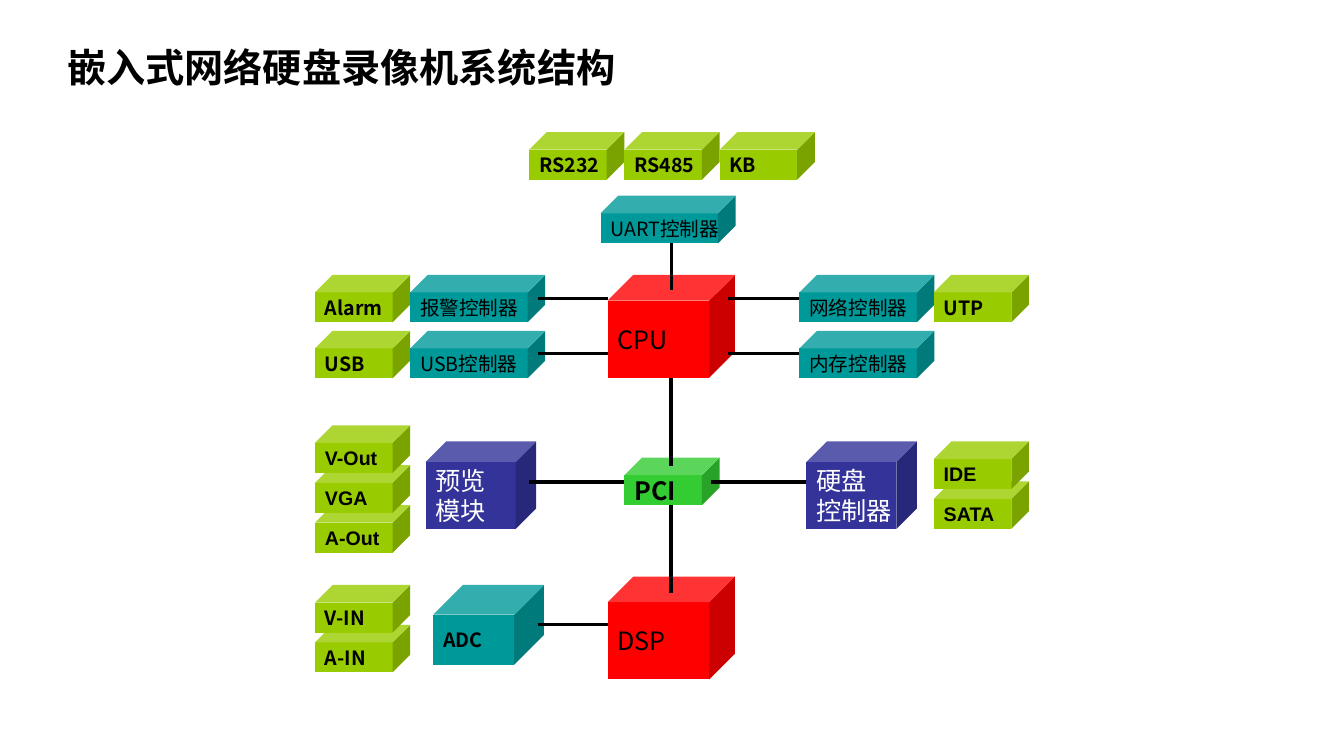
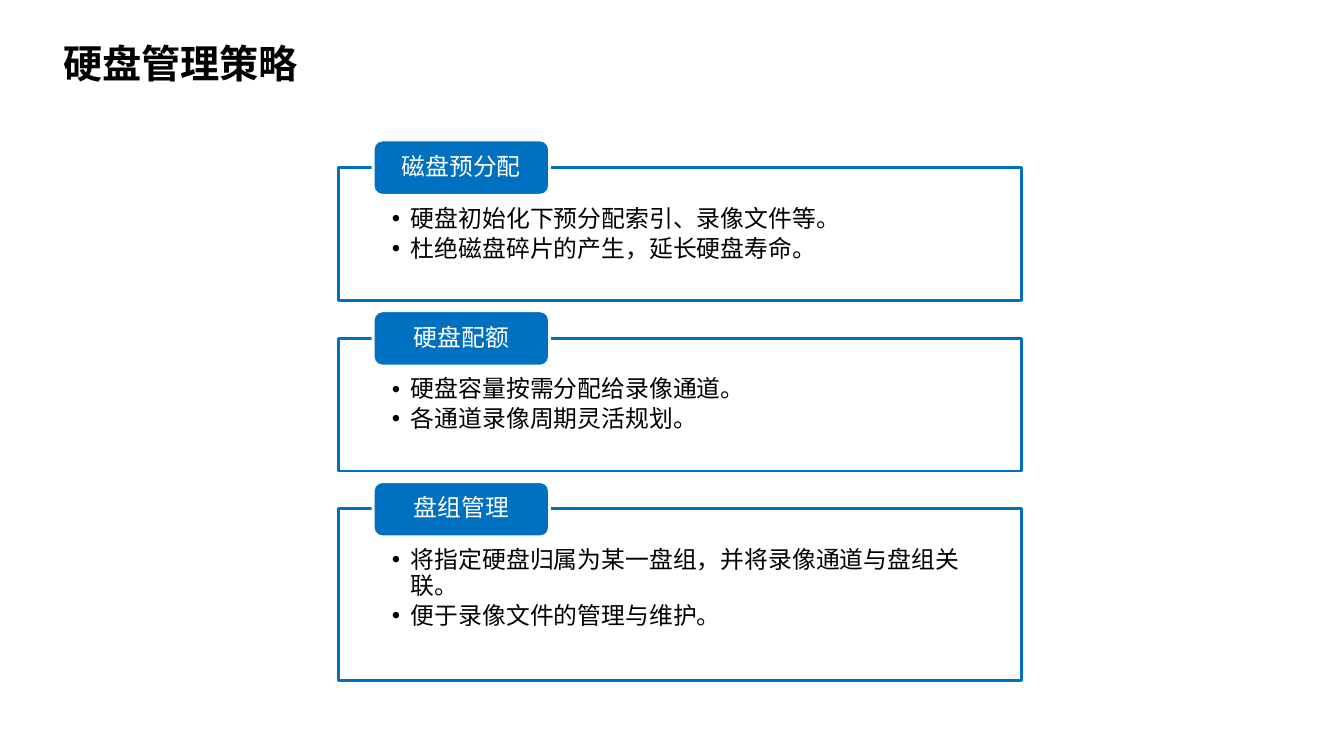
from dataclasses import dataclass

from lxml.etree import SubElement
from pptx import Presentation
from pptx.dml.color import RGBColor
from pptx.enum.shapes import MSO_CONNECTOR, MSO_SHAPE
from pptx.enum.text import MSO_ANCHOR, PP_ALIGN
from pptx.oxml.ns import qn
from pptx.util import Pt


@dataclass(frozen=True)
class Theme:
    black: str = "000000"
    white: str = "FFFFFF"
    lime: str = "99CC00"
    teal: str = "009999"
    red: str = "FF0000"
    green: str = "33CC33"
    indigo: str = "333399"
    blue: str = "0070C0"
    latin: str = "Arial"
    cjk: str = "Noto Sans CJK SC"
    title_size: float = 28
    chip_size: float = 18
    port_size: float = 14
    policy_size: float = 17
    bus_weight: float = 3
    link_weight: float = 2.25
    frame_weight: float = 2


THEME = Theme()


@dataclass(frozen=True)
class Block:
    fill: str
    width: float
    height: float
    depth: float = 0.371
    size: float = THEME.port_size
    font: str = THEME.cjk
    color: str = THEME.black
    bold: bool = False


PORT = Block(THEME.lime, 68, 34, bold=True)
MEDIA_PORT = Block(THEME.lime, 68, 34, font=THEME.latin, bold=True)
CONTROLLER = Block(THEME.teal, 96.5, 34)
CONVERTER = Block(THEME.teal, 79, 57, bold=True)
PROCESSOR = Block(THEME.red, 91, 73.5, 0.25, THEME.chip_size)
BRIDGE = Block(THEME.green, 68, 34, size=THEME.chip_size, bold=True)
MODULE = Block(THEME.indigo, 79, 62.5, 0.235, THEME.chip_size, color=THEME.white)


def rgb(value):
    return RGBColor.from_string(value)


def write(frame, lines, size, color, font=THEME.latin, bold=False,
          align=PP_ALIGN.LEFT, spacing=None, after=None, bullet_indent=None):
    for index, line in enumerate(lines):
        paragraph = frame.paragraphs[0] if index == 0 else frame.add_paragraph()
        paragraph.text = line
        paragraph.alignment = align
        if spacing:
            paragraph.line_spacing = spacing
        if after:
            paragraph.space_after = Pt(after)
        properties = paragraph._p.get_or_add_pPr()
        if bullet_indent:
            properties.set("marL", str(Pt(bullet_indent)))
            properties.set("indent", str(-Pt(bullet_indent)))
            SubElement(properties, qn("a:buFont")).set("typeface", THEME.latin)
            SubElement(properties, qn("a:buChar")).set("char", "•")
        paragraph.font.name = font
        paragraph.font.size = Pt(size)
        paragraph.font.bold = bold
        paragraph.font.color.rgb = rgb(color)
        east_asian = SubElement(properties.find(qn("a:defRPr")), qn("a:ea"))
        east_asian.set("typeface", THEME.cjk)


def set_insets(frame, left, top, right, bottom):
    frame.margin_left, frame.margin_top = Pt(left), Pt(top)
    frame.margin_right, frame.margin_bottom = Pt(right), Pt(bottom)


def add_filled(slide, preset, box, fill, outline=None):
    shape = slide.shapes.add_shape(preset, *map(Pt, box))
    shape.shadow.inherit = False
    shape.fill.solid()
    shape.fill.fore_color.rgb = rgb(fill)
    if outline:
        shape.line.color.rgb = rgb(outline)
        shape.line.width = Pt(THEME.frame_weight)
    else:
        shape.line.fill.background()
    return shape


def add_title(slide, left, top, text):
    frame = slide.shapes.add_textbox(Pt(left), Pt(top), Pt(718), Pt(40)).text_frame
    frame.word_wrap = True
    frame.vertical_anchor = MSO_ANCHOR.MIDDLE
    write(frame, [text], THEME.title_size, THEME.black, bold=True)


def add_block(slide, block, left, top, *lines):
    cube = add_filled(slide, MSO_SHAPE.CUBE,
                      (left, top, block.width, block.height), block.fill)
    cube.adjustments[0] = block.depth
    frame = cube.text_frame
    frame.word_wrap = False
    frame.vertical_anchor = MSO_ANCHOR.MIDDLE
    write(frame, lines, block.size, block.color, block.font, block.bold)


def add_stack(slide, block, left, top, names):
    for index, name in reversed(list(enumerate(names))):
        add_block(slide, block, left, top + index * 28.5, name)


def add_link(slide, start, end, weight):
    link = slide.shapes.add_connector(MSO_CONNECTOR.STRAIGHT, *map(Pt, start + end))
    link.line.color.rgb = rgb(THEME.black)
    link.line.width = Pt(weight)
    SubElement(link._element.spPr, qn("a:effectLst"))


def add_architecture(slide, left, top):
    alarm_row, usb_row, module_row, input_row = 102, 142, 221, 323.5
    near_controller, far_controller, far_port = 68, 346, 442

    for block, x, y, *lines in (
        (CONTROLLER, 204, 45.5, "UART控制器"),
        (PORT, 0, alarm_row, "Alarm"),
        (CONTROLLER, near_controller, alarm_row, "报警控制器"),
        (PORT, 0, usb_row, "USB"),
        (CONTROLLER, near_controller, usb_row, "USB控制器"),
        (PROCESSOR, 209, alarm_row, "CPU"),
        (CONTROLLER, far_controller, alarm_row, "网络控制器"),
        (PORT, far_port, alarm_row, "UTP"),
        (CONTROLLER, far_controller, usb_row, "内存控制器"),
        (MODULE, 79, module_row, "预览", "模块"),
        (BRIDGE, 221, 232.5, "PCI"),
        (MODULE, 351, module_row, "硬盘", "控制器"),
        (CONVERTER, 84.5, input_row, "ADC"),
        (PROCESSOR, 209, 317.5, "DSP"),
    ):
        add_block(slide, block, left + x, top + y, *lines)

    for index, name in enumerate(("RS232", "RS485", "KB")):
        add_block(slide, PORT, left + 153 + index * PORT.width, top, name)

    for block, x, y, names in (
        (MEDIA_PORT, 0, 209.5, ("V-Out", "VGA", "A-Out")),
        (MEDIA_PORT, far_port, module_row, ("IDE", "SATA")),
        (PORT, 0, input_row, ("V-IN", "A-IN")),
    ):
        add_stack(slide, block, left + x, top + y, names)

    spine, bus = 254.5, 250
    for x1, y1, x2, y2, weight in (
        (spine, 79, spine, 113, THEME.link_weight),
        (spine, 175.5, spine, 238.5, THEME.bus_weight),
        (spine, 266.5, spine, 329, THEME.bus_weight),
        (153, bus, 221, bus, THEME.bus_weight),
        (283, bus, 351, bus, THEME.bus_weight),
        (159, 118.8, 209, 118.8, THEME.link_weight),
        (159, 158.5, 209, 158.5, THEME.link_weight),
        (295, 118.8, 346, 118.8, THEME.link_weight),
        (295, 158.5, 346, 158.5, THEME.link_weight),
        (159, 351.5, 209, 351.5, THEME.link_weight),
    ):
        add_link(slide, (left + x1, top + y1), (left + x2, top + y2), weight)


def add_policy(slide, left, top, width, height, name, points):
    panel = add_filled(slide, MSO_SHAPE.RECTANGLE, (left, top, width, height),
                       THEME.white, THEME.blue).text_frame
    panel.word_wrap = True
    panel.vertical_anchor = MSO_ANCHOR.TOP
    set_insets(panel, 38, 28, 38, 9)
    write(panel, points, THEME.policy_size, THEME.black,
          spacing=0.9, after=3, bullet_indent=13.5)

    heading = add_filled(slide, MSO_SHAPE.ROUNDED_RECTANGLE,
                         (left + 24.5, top - 19.5, 126, 39.5),
                         THEME.blue, THEME.white).text_frame
    heading.word_wrap = True
    heading.vertical_anchor = MSO_ANCHOR.MIDDLE
    set_insets(heading, 13, 0, 13, 0)
    write(heading, [name], THEME.policy_size, THEME.white,
          align=PP_ALIGN.CENTER, spacing=0.9)


def add_policies(slide, left, top, width, gap):
    for name, height, points in (
        ("磁盘预分配", 95, ("硬盘初始化下预分配索引、录像文件等。",
                       "杜绝磁盘碎片的产生，延长硬盘寿命。")),
        ("硬盘配额", 95, ("硬盘容量按需分配给录像通道。",
                      "各通道录像周期灵活规划。")),
        ("盘组管理", 122.5, ("将指定硬盘归属为某一盘组，并将录像通道与盘组关联。",
                         "便于录像文件的管理与维护。")),
    ):
        add_policy(slide, left, top, width, height, name, points)
        top += height + gap


def main():
    deck = Presentation()
    deck.slide_width, deck.slide_height = Pt(960), Pt(540)
    blank = deck.slide_layouts[6]

    structure = deck.slides.add_slide(blank)
    add_title(structure, 41, 28, "嵌入式网络硬盘录像机系统结构")
    add_architecture(structure, 225, 94.3)

    management = deck.slides.add_slide(blank)
    add_title(management, 38, 25, "硬盘管理策略")
    add_policies(management, 242, 119.5, 487.5, 27)

    deck.save("out.pptx")


if __name__ == "__main__":
    main()
